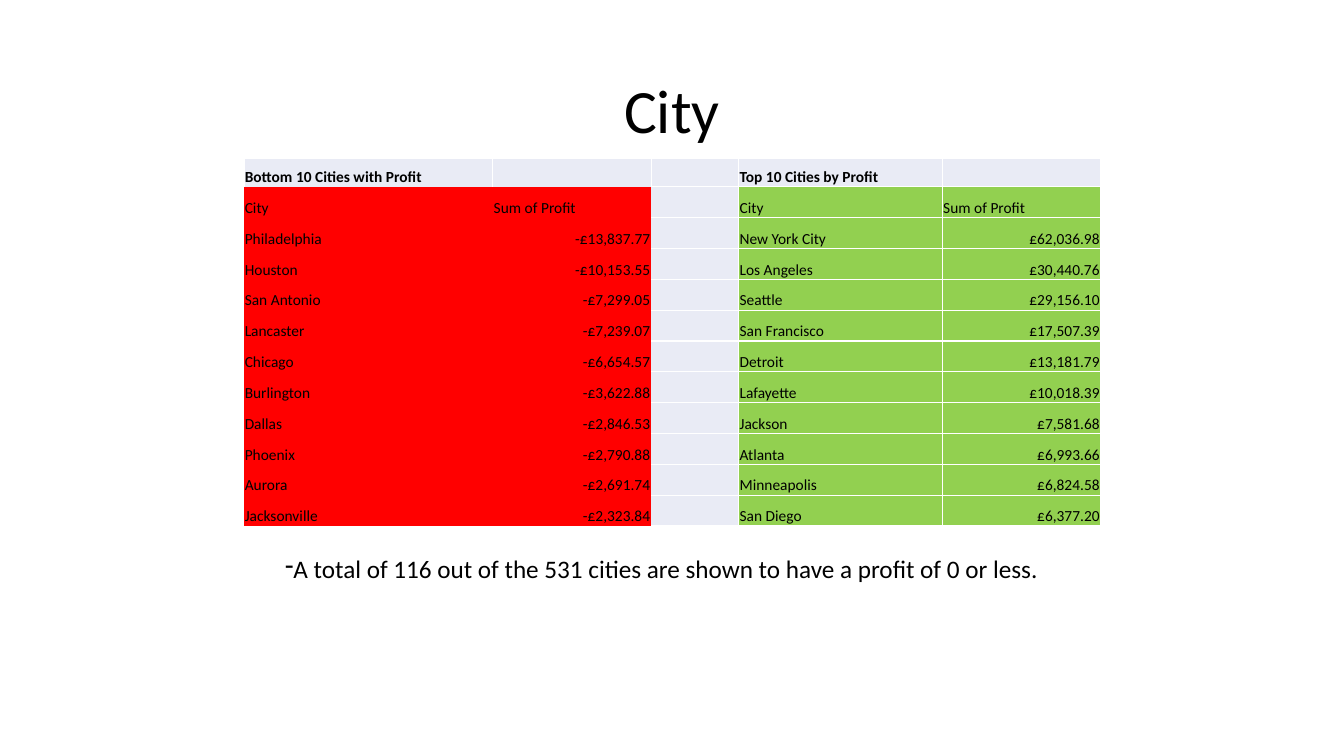
import pptx
import pptx.util
import pptx.dml.color
import pptx.enum.text
import pptx.oxml
import pptx.oxml.ns
import lxml.etree

Pt = pptx.util.Pt
RGBColor = pptx.dml.color.RGBColor
PP_ALIGN = pptx.enum.text.PP_ALIGN
MSO_ANCHOR = pptx.enum.text.MSO_ANCHOR

BLACK = RGBColor(0x00, 0x00, 0x00)
WHITE = RGBColor(0xFF, 0xFF, 0xFF)
PALE = RGBColor(0xE9, 0xEB, 0xF5)
RED = RGBColor(0xFF, 0x00, 0x00)
GREEN = RGBColor(0x92, 0xD0, 0x50)
FONT = "Calibri"

COLUMN_WIDTHS = [177.84, 113.04, 62.64, 145.44, 113.04]
HEADING_HEIGHT = 20.4
ROW_HEIGHT = 22.04
ROWS = [
    ("Bottom 10 Cities with Profit", "", "", "Top 10 Cities by Profit", ""),
    ("City", "Sum of Profit", "", "City", "Sum of Profit"),
    ("Philadelphia", "-£13,837.77", "", "New York City", "£62,036.98"),
    ("Houston", "-£10,153.55", "", "Los Angeles", "£30,440.76"),
    ("San Antonio", "-£7,299.05", "", "Seattle", "£29,156.10"),
    ("Lancaster", "-£7,239.07", "", "San Francisco", "£17,507.39"),
    ("Chicago", "-£6,654.57", "", "Detroit", "£13,181.79"),
    ("Burlington", "-£3,622.88", "", "Lafayette", "£10,018.39"),
    ("Dallas", "-£2,846.53", "", "Jackson", "£7,581.68"),
    ("Phoenix", "-£2,790.88", "", "Atlanta", "£6,993.66"),
    ("Aurora", "-£2,691.74", "", "Minneapolis", "£6,824.58"),
    ("Jacksonville", "-£2,323.84", "", "San Diego", "£6,377.20"),
]


def style_font(font, size, bold=False):
    font.name = FONT
    font.size = Pt(size)
    font.bold = bold
    font.color.rgb = BLACK


def add_title(slide, text, left, top, width, height):
    title = slide.shapes.title
    title.left, title.top = Pt(left), Pt(top)
    title.width, title.height = Pt(width), Pt(height)
    title.text_frame.vertical_anchor = MSO_ANCHOR.MIDDLE
    para = title.text_frame.paragraphs[0]
    para.alignment = PP_ALIGN.CENTER
    para.line_spacing = 0.9
    span = para.add_run()
    span.text = text
    style_font(span.font, 44)


def set_borders(cell, white_sides):
    """Draw white 1 pt lines on the named sides (L, R, T, B) and none on the others."""
    properties = cell._tc.get_or_add_tcPr()
    for position, side in enumerate("LRTB"):
        if side in white_sides:
            paint = f'<a:solidFill><a:srgbClr val="{WHITE}"/></a:solidFill>'
        else:
            paint = "<a:noFill/>"
        line = pptx.oxml.parse_xml(
            f'<a:ln{side} {pptx.oxml.ns.nsdecls("a")} w="{Pt(1)}">{paint}</a:ln{side}>')
        properties.insert(position, line)


def cell_look(row, column):
    """Return the fill and the sides with white lines."""
    if row == 0:
        return PALE, "LRT" if column < 2 else "LRTB"
    if column < 2:
        return RED, ""
    if column == 2:
        return PALE, "RTB"
    return GREEN, "LRTB"


def fill_cell(cell, text, row, column):
    cell.margin_left = cell.margin_right = cell.margin_top = Pt(0.6)
    cell.margin_bottom = 0
    cell.vertical_anchor = MSO_ANCHOR.BOTTOM
    para = cell.text_frame.paragraphs[0]
    if row > 1 and column in (1, 4):
        para.alignment = PP_ALIGN.RIGHT
    if text:
        span = para.add_run()
        span.text = text
        style_font(span.font, 11, bold=row == 0)
    else:
        style_font(para.font, 11)
    color, white_sides = cell_look(row, column)
    cell.fill.solid()
    cell.fill.fore_color.rgb = color
    set_borders(cell, white_sides)


def add_profit_table(slide, left, top):
    heights = [HEADING_HEIGHT] + [ROW_HEIGHT] * (len(ROWS) - 1)
    table = slide.shapes.add_table(
        len(ROWS), len(COLUMN_WIDTHS), Pt(left), Pt(top),
        Pt(sum(COLUMN_WIDTHS)), Pt(sum(heights))).table
    table.first_row = False
    table.horz_banding = False
    for column, width in zip(table.columns, COLUMN_WIDTHS):
        column.width = Pt(width)
    for table_row, height in zip(table.rows, heights):
        table_row.height = Pt(height)
    for row, texts in enumerate(ROWS):
        for column, text in enumerate(texts):
            fill_cell(table.cell(row, column), text, row, column)


def add_note(slide, text, left, top, width, height):
    box = slide.shapes.add_textbox(Pt(left), Pt(top), Pt(width), Pt(height))
    box.text_frame.word_wrap = True
    box.text_frame.auto_size = pptx.enum.text.MSO_AUTO_SIZE.SHAPE_TO_FIT_TEXT
    para = box.text_frame.paragraphs[0]
    properties = para._p.get_or_add_pPr()
    properties.set("marL", "0")
    properties.set("indent", "0")
    bullet = lxml.etree.SubElement(properties, pptx.oxml.ns.qn("a:buChar"))
    bullet.set("char", "-")
    span = para.add_run()
    span.text = text
    style_font(span.font, 18)


def add_city_slide(deck):
    slide = deck.slides.add_slide(deck.slide_layouts[5])
    add_title(slide, "City", 66, 29, 828, 104.4)
    add_profit_table(slide, 174.24, 113.04)
    add_note(slide, "A total of 116 out of the 531 cities are shown to have a profit of 0 or less.",
             196.56, 391.68, 567.36, 29)


def main():
    deck = pptx.Presentation()
    deck.slide_width, deck.slide_height = Pt(960), Pt(540)
    add_city_slide(deck)
    deck.save("out.pptx")


if __name__ == "__main__":
    main()
